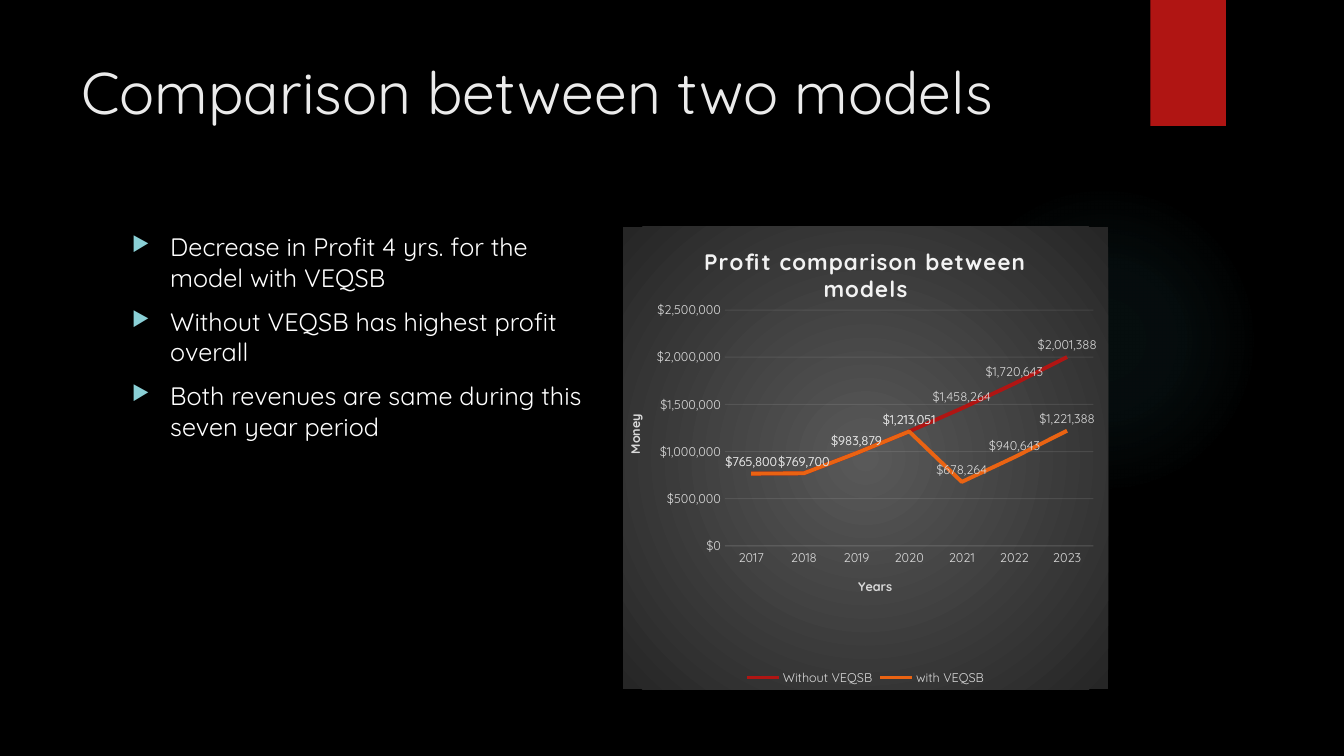
from lxml import etree
from pptx import Presentation
from pptx.chart.data import CategoryChartData
from pptx.dml.color import RGBColor
from pptx.enum.chart import XL_CHART_TYPE as ChartType, XL_LABEL_POSITION as LabelPos
from pptx.enum.chart import XL_LEGEND_POSITION as LegendPos, XL_TICK_MARK as TickMark
from pptx.enum.shapes import MSO_SHAPE as Shape
from pptx.oxml import parse_xml
from pptx.oxml.ns import nsdecls, qn
from pptx.util import Inches, Pt

FONT = "Quicksand"
BLACK = RGBColor(0x00, 0x00, 0x00)
WHITE = RGBColor(0xFF, 0xFF, 0xFF)
TITLE_WHITE = RGBColor(0xEB, 0xEB, 0xEB)
GRID_WHITE = RGBColor(0xF2, 0xF2, 0xF2)
LABEL_GREY = RGBColor(0xD9, 0xD9, 0xD9)
PANEL_MID = RGBColor(0x59, 0x59, 0x59)
PANEL_EDGE = RGBColor(0x26, 0x26, 0x26)
TEAL = RGBColor(0x50, 0xB9, 0xC1)
BULLET_TEAL = RGBColor(0x8A, 0xD0, 0xD6)
RED = RGBColor(0xB0, 0x15, 0x13)
ORANGE = RGBColor(0xEA, 0x63, 0x12)


def style_font(font, size, color, bold=False):
    font.name = FONT
    font.size = Pt(size)
    font.bold = bold
    font.color.rgb = color


def radial_fill(stops):
    """Circular gradient from (position %, colour, opacity %) stops."""
    marks = "".join(
        f'<a:gs pos="{pos * 1000}"><a:srgbClr val="{color}">'
        f'<a:alpha val="{opacity * 1000}"/></a:srgbClr></a:gs>'
        for pos, color, opacity in stops)
    return parse_xml(
        f'<a:gradFill {nsdecls("a")} rotWithShape="1"><a:gsLst>{marks}</a:gsLst>'
        '<a:path path="circle"><a:fillToRect l="50000" t="50000" r="50000" b="50000"/>'
        '</a:path></a:gradFill>')


prs = Presentation()
prs.slide_width, prs.slide_height = Inches(13.33), Inches(7.5)
slide = prs.slides.add_slide(prs.slide_layouts[6])
slide.background.fill.solid()
slide.background.fill.fore_color.rgb = BLACK

# Glow and ribbon
glow = slide.shapes.add_shape(
    Shape.OVAL, Inches(9.41), Inches(1.83), Inches(3.08), Inches(3.08))
glow.shadow.inherit = False
glow.line.fill.background()
glow_stops = [(0, TEAL, 7), (36, TEAL, 6), (69, TEAL, 0)]
glow._element.spPr.find(qn("a:prstGeom")).addnext(radial_fill(glow_stops))

ribbon = slide.shapes.add_shape(
    Shape.RECTANGLE, Inches(11.41), Inches(0), Inches(0.75), Inches(1.25))
ribbon.shadow.inherit = False
ribbon.fill.solid()
ribbon.fill.fore_color.rgb = RED
ribbon.line.fill.background()

# Title
title = slide.shapes.add_textbox(Inches(0.71), Inches(0.5), Inches(10.29), Inches(1.53))
title.text_frame.word_wrap = True
title.text_frame.text = "Comparison between two models"
style_font(title.text_frame.paragraphs[0].runs[0].font, 42, TITLE_WHITE)

# Findings
findings = slide.shapes.add_textbox(Inches(1.21), Inches(2.25), Inches(4.81), Inches(4.59))
findings.text_frame.word_wrap = True
findings.text_frame.text = "\n".join([
    "Decrease in Profit 4 yrs. for the model with VEQSB",
    "Without VEQSB has highest profit overall",
    "Both revenues are same during this seven year period",
])
for finding in findings.text_frame.paragraphs:
    finding.space_before = Pt(10)
    style_font(finding.runs[0].font, 18, WHITE)
    props = finding._p.get_or_add_pPr()
    props.set("marL", str(Inches(0.38)))
    props.set("indent", str(Inches(-0.38)))
    color = etree.SubElement(props, qn("a:buClr"))
    etree.SubElement(color, qn("a:srgbClr"), val=str(BULLET_TEAL))
    etree.SubElement(props, qn("a:buSzPct"), val="80000")
    etree.SubElement(props, qn("a:buChar"), char="▶")

# Profit chart
profits = CategoryChartData(number_format='"$"#,##0')
profits.categories = [str(year) for year in range(2017, 2024)]
shared_years = [765800, 769700, 983879, 1213051]
profits.add_series("Without VEQSB", shared_years + [1458264, 1720643, 2001388])
profits.add_series("with VEQSB", shared_years + [678264, 940643, 1221388])
chart = slide.shapes.add_chart(
    ChartType.LINE, Inches(6.18), Inches(2.25), Inches(4.81), Inches(4.59), profits).chart
style_font(chart.font, 10, WHITE)

chart.has_title = True
chart.chart_title.include_in_layout = False
chart.chart_title.text_frame.text = "Profit comparison between models"
heading = chart.chart_title.text_frame.paragraphs[0].runs[0]
style_font(heading.font, 16, GRID_WHITE, bold=True)
heading._r.get_or_add_rPr().set("spc", "100")

chart.has_legend = True
chart.legend.position = LegendPos.BOTTOM
chart.legend.include_in_layout = False
style_font(chart.legend.font, 9, LABEL_GREY)

# Axes
years, money = chart.category_axis, chart.value_axis
for axis, caption in ((years, "Years"), (money, "Money")):
    axis.major_tick_mark = axis.minor_tick_mark = TickMark.NONE
    style_font(axis.tick_labels.font, 9, LABEL_GREY)
    axis.axis_title.text_frame.text = caption
    style_font(axis.axis_title.text_frame.paragraphs[0].runs[0].font, 9, LABEL_GREY, bold=True)
money.minimum_scale, money.maximum_scale, money.major_unit = 0, 2500000, 500000
money.tick_labels.number_format = '"$"#,##0'
money.tick_labels.number_format_is_linked = False
money.format.line.fill.background()
money.has_major_gridlines = True
for rule in (years.format.line, money.major_gridlines.format.line):
    rule.width = Pt(0.75)
    rule.color.rgb = GRID_WHITE
    tint = rule.fill._xPr.find(".//" + qn("a:srgbClr"))
    etree.SubElement(tint, qn("a:alpha"), val="10000")

# Lines and value labels
for model, color in zip(chart.plots[0].series, (RED, ORANGE)):
    model.smooth = False
    model.format.line.color.rgb = color
    model.format.line.width = Pt(2.75)
    labels = model.data_labels
    labels.show_value = True
    labels.position = LabelPos.ABOVE
    style_font(labels.font, 9, LABEL_GREY)
chart.plots[0].vary_by_categories = False

# Plot position and panel fill
plot_area = chart._chartSpace.chart.plotArea
for layout in plot_area.findall(qn("c:layout")):
    plot_area.remove(layout)
plot_area.insert(0, parse_xml(
    f'<c:layout {nsdecls("c")}><c:manualLayout><c:layoutTarget val="inner"/>'
    '<c:xMode val="edge"/><c:yMode val="edge"/><c:x val="0.21"/><c:y val="0.18"/>'
    '<c:w val="0.76"/><c:h val="0.51"/></c:manualLayout></c:layout>'))
panel = parse_xml(f'<c:spPr {nsdecls("c", "a")}><a:ln><a:noFill/></a:ln></c:spPr>')
panel.insert(0, radial_fill([(0, PANEL_MID, 100), (100, PANEL_EDGE, 100)]))
chart._chartSpace.chart.addnext(panel)

prs.save("out.pptx")
